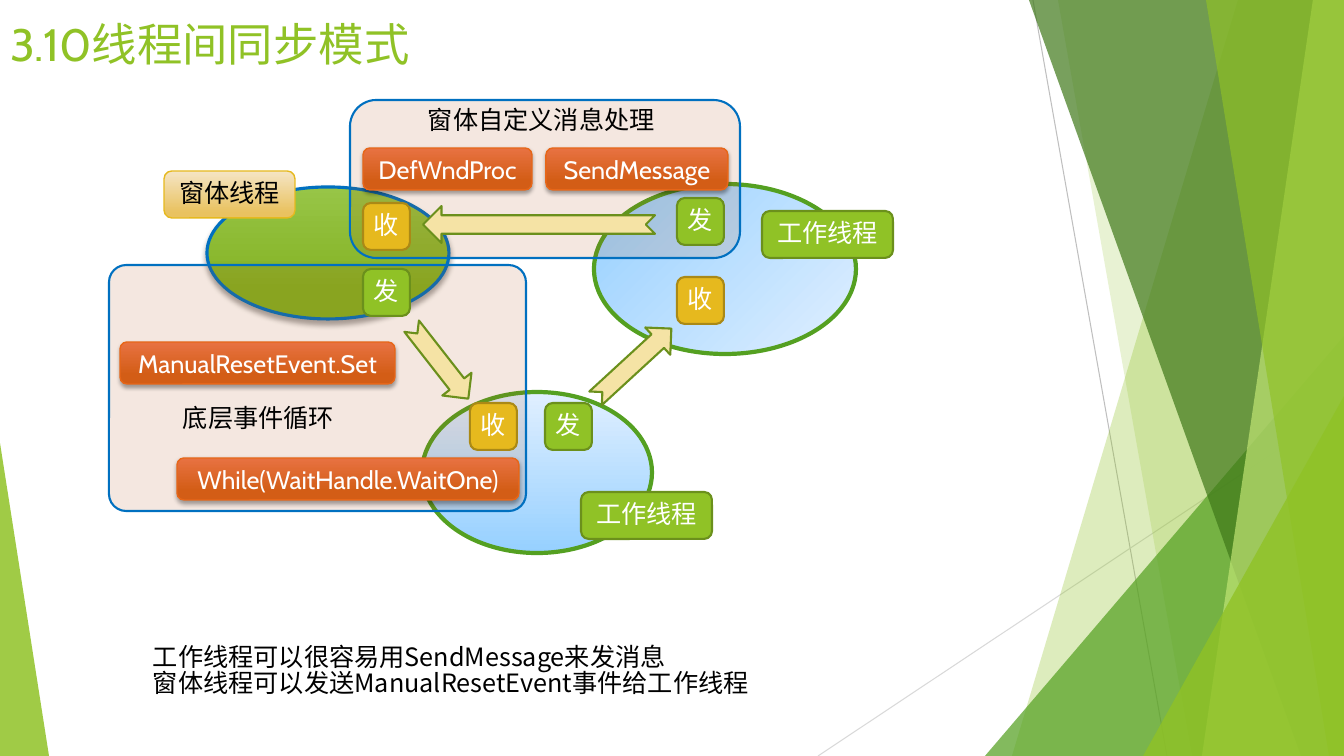
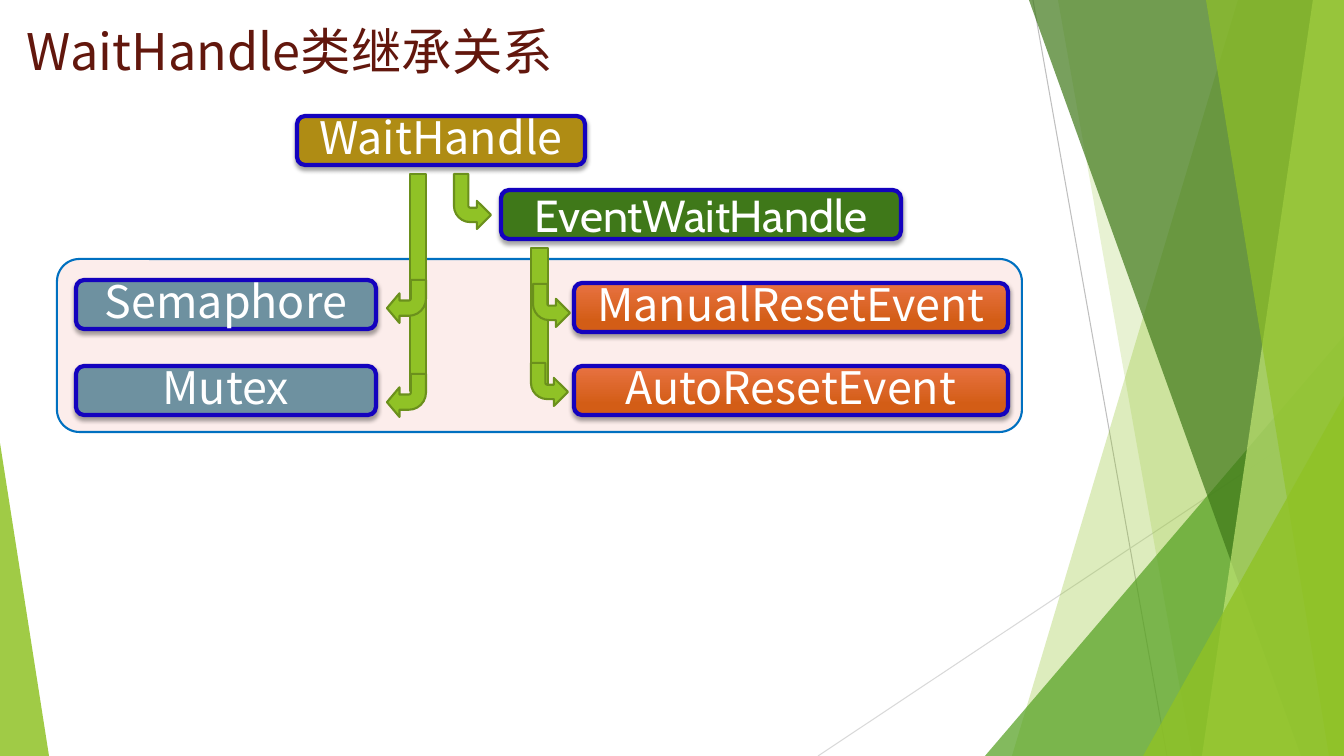
from pptx import Presentation
from pptx.dml.color import RGBColor
from pptx.enum.shapes import MSO_CONNECTOR, MSO_SHAPE
from pptx.enum.text import MSO_ANCHOR, MSO_AUTO_SIZE, PP_ALIGN
from pptx.oxml.ns import qn
from pptx.util import Pt
from lxml import etree

PX = 12192000 / 1344
WIDTH, HEIGHT = 1344, 756

ROUND, OVAL, RECT = MSO_SHAPE.ROUNDED_RECTANGLE, MSO_SHAPE.OVAL, MSO_SHAPE.RECTANGLE
TRIANGLE = MSO_SHAPE.ISOSCELES_TRIANGLE
NOTCHED, BENT = MSO_SHAPE.NOTCHED_RIGHT_ARROW, MSO_SHAPE.BENT_ARROW
STRAIGHT = MSO_CONNECTOR.STRAIGHT
TOP, MIDDLE = MSO_ANCHOR.TOP, MSO_ANCHOR.MIDDLE
LEFT, CENTER = PP_ALIGN.LEFT, PP_ALIGN.CENTER
NO_AUTOFIT = MSO_AUTO_SIZE.NONE


class Theme:
    white, black = "FFFFFF", "000000"
    green, green_edge = "90C226", "6B901C"
    leaf, forest, lime = "54A021", "3F7819", "C0E474"
    gold, gold_edge, dark_gold = "E6B91E", "AA8916", "AF8C14"
    cream, slate, maroon = "F5E3A5", "6E91A0", "62170D"
    blue, navy = "0070C0", "1402BE"
    brown_tint, red_tint = "AD4C12", "EB7766"
    orange_edge = "E76618"
    # Gradients: first colour, last colour, last position, direction in degrees
    orange = ("E87242", "D35D16", 0.78, 90)
    sand = ("F5E5C5", "E9C260", 0.88, 90)
    grass = ("97C547", "84B223", 0.78, 90)
    sky_up = ("96D0FF", "E0EFFF", 1, 270)
    sky_corner = ("96D0FF", "E0EFFF", 1, None)
    latin, cjk = "Cabin", "Noto Sans CJK SC"
    leading = {latin: 1.0, cjk: 0.88}
    title, subtitle, node, body = 36, 32.4, 32, 18


def draw(shapes, form, place, fill, line=None, weight=1.5, alpha=None, adjust=(),
         turn=0, flip="", shadow=None):
    """Add a preset at a px box, or, when form is None, a polygon through px points.

    A tuple as fill is a gradient; without a direction it spreads from the top left.
    """
    if form is None:
        outline = shapes.build_freeform(*place[0], scale=PX)
        outline.add_line_segments(place[1:], close=True)
        shape = outline.convert_to_shape()
    else:
        shape = shapes.add_shape(form, *[round(v * PX) for v in place])
    for i, value in enumerate(adjust):
        shape.adjustments[i] = value
    shape.rotation = turn
    properties = shape.element.spPr
    for axis in flip:
        properties.xfrm.set("flip" + axis, "1")

    if isinstance(fill, tuple):
        first, last, end, direction = fill
        shape.fill.gradient()
        start_stop, end_stop = shape.fill.gradient_stops
        start_stop.color.rgb = RGBColor.from_string(first)
        end_stop.color.rgb = RGBColor.from_string(last)
        end_stop.position = end
        if direction is None:
            gradient = properties.find(qn("a:gradFill"))
            gradient.remove(gradient.find(qn("a:lin")))
            spread = etree.SubElement(gradient, qn("a:path"), path="circle")
            etree.SubElement(spread, qn("a:fillToRect"), r="100000", b="100000")
        else:
            shape.fill.gradient_angle = 360 - direction
    else:
        shape.fill.solid()
        shape.fill.fore_color.rgb = RGBColor.from_string(fill)
        if alpha is not None:
            color = properties.find(qn("a:solidFill"))[0]
            etree.SubElement(color, qn("a:alpha"), val=str(alpha * 1000))

    if line:
        shape.line.color.rgb = RGBColor.from_string(line)
        shape.line.width = Pt(weight)
    else:
        shape.line.fill.background()

    shape.shadow.inherit = False
    if shadow:
        blur, distance = shadow
        cast = etree.SubElement(properties.find(qn("a:effectLst")), qn("a:outerShdw"),
                                blurRad=str(Pt(blur)), dist=str(Pt(distance)),
                                dir="5400000", rotWithShape="0")
        color = etree.SubElement(cast, qn("a:srgbClr"), val=Theme.black)
        etree.SubElement(color, qn("a:alpha"), val="35000")
    return shape


def write(shape, *lines, size=Theme.body, color=Theme.white, font=Theme.cjk,
          align=CENTER, anchor=MIDDLE, margins=(0, 0), wrap=True):
    frame = shape.text_frame
    frame.auto_size = NO_AUTOFIT
    frame.word_wrap = wrap
    frame.vertical_anchor = anchor
    frame.margin_left = frame.margin_right = round(margins[0] * PX)
    frame.margin_top = frame.margin_bottom = round(margins[1] * PX)
    for i, line in enumerate(lines):
        paragraph = frame.add_paragraph() if i else frame.paragraphs[0]
        paragraph.alignment = align
        paragraph.line_spacing = Theme.leading[font]
        run = paragraph.add_run()
        run.text = line
        run.font.size = Pt(size)
        run.font.color.rgb = RGBColor.from_string(color)
        run.font.name = font
        etree.SubElement(run.font._element, qn("a:ea"), typeface=font)


deck = Presentation()
deck.slide_width, deck.slide_height = round(WIDTH * PX), round(HEIGHT * PX)
title_only = deck.slide_layouts[5]
sync_slide = deck.slides.add_slide(title_only)
inherit_slide = deck.slides.add_slide(title_only)

# Shared backdrop: drawn once, then moved to the layout
shapes = sync_slide.shapes
backdrop = []
for ends, color in [((1033, 0, 1167, 756), "BFBFBF"), ((1344, 406, 818, 756), "D9D9D9")]:
    ray = shapes.add_connector(STRAIGHT, *[round(v * PX) for v in ends])
    ray.line.color.rgb = RGBColor.from_string(color)
    ray.line.width = Pt(0.75)
    etree.SubElement(ray.element.spPr, qn("a:effectLst"))
    backdrop.append(ray)

# Bands run to the right edge: x at the top, x at the bottom, colour, opacity
bands = [
    (1238, 1012, Theme.green, 30),
    (1058, 1192, Theme.green, 20),
    (1029, 1301, Theme.forest, 70),
    (1313, 1202, Theme.lime, 70),
    (1206, 1329, Theme.green, 65),
]
# Wedges stand on the bottom edge: left, top, width, apex, colour, opacity
wedges = [
    (985, 336, 359, 1, Theme.leaf, 72),
    (1143, 396, 201, 1, Theme.green, 80),
    (0, 443, 49, 0, Theme.green, 85),
]
band_shapes = [
    draw(shapes, None, [(top, 0), (WIDTH, 0), (WIDTH, HEIGHT), (bottom, HEIGHT)],
         color, alpha=alpha)
    for top, bottom, color, alpha in bands
]
wedge_shapes = [
    draw(shapes, TRIANGLE, (left, top, width, HEIGHT - top), color, alpha=alpha,
         adjust=[apex])
    for left, top, width, apex, color, alpha in wedges
]
backdrop += band_shapes[:2] + wedge_shapes[:1] + band_shapes[2:] + wedge_shapes[1:]
for part in backdrop:
    title_only.shapes.element.append(part.element)

# Titles
for slide, text, box, size, color, font in [
    (sync_slide, "3.10线程间同步模式", (0, 11, 423, 75), Theme.subtitle, Theme.green,
     Theme.latin),
    (inherit_slide, "WaitHandle类继承关系", (17, 23, 604, 71), Theme.title, Theme.maroon,
     Theme.cjk),
]:
    title = slide.shapes.title
    title.left, title.top, title.width, title.height = [round(v * PX) for v in box]
    write(title, text, size=size, color=color, font=font, align=LEFT, anchor=TOP,
          margins=(10, 5))

# Slide 1: threads and the panels that overlap them
draw(shapes, OVAL, (422, 392, 230, 161), Theme.sky_up, Theme.leaf, 3)
draw(shapes, OVAL, (207, 187, 242, 132), Theme.grass, Theme.blue, 2.25, shadow=(4, 3))
draw(shapes, ROUND, (109, 265, 417, 246), Theme.brown_tint, Theme.blue, alpha=13,
     adjust=[0.07])
draw(shapes, OVAL, (594, 184, 262, 170), Theme.sky_corner, Theme.leaf, 3)
draw(shapes, ROUND, (350, 100, 390, 158), Theme.brown_tint, Theme.blue, alpha=13)

for left, top, length, turn in [(423, 206, 232, 180), (582, 345, 103, 317.4),
                                (394, 344, 92, 52)]:
    draw(shapes, NOTCHED, (left, top, length, 37), Theme.cream, Theme.green_edge, turn=turn)

for call, left, top, width in [
    ("SendMessage", 546, 148, 182),
    ("DefWndProc", 363, 148, 169),
    ("ManualResetEvent.Set", 120, 342, 275),
    ("While(WaitHandle.WaitOne)", 177, 458, 342),
]:
    button = draw(shapes, ROUND, (left, top, width, 42), Theme.orange, Theme.orange_edge, 1,
                  shadow=(3, 2))
    write(button, call, font=Theme.latin)

for left, top in [(762, 211), (581, 492)]:
    worker = draw(shapes, ROUND, (left, top, 131, 47), Theme.green, Theme.green_edge)
    write(worker, "工作线程")
form_thread = draw(shapes, ROUND, (164, 171, 131, 47), Theme.sand, Theme.gold, 1)
write(form_thread, "窗体线程", color=Theme.black)

for role, fill, edge, places in [
    ("发", Theme.green, Theme.green_edge, [(677, 198), (545, 403), (363, 269)]),
    ("收", Theme.gold, Theme.gold_edge, [(363, 203), (677, 277), (470, 403)]),
]:
    for left, top in places:
        write(draw(shapes, ROUND, (left, top, 47, 47), fill, edge), role)

for box, lines in [
    ((418, 103, 249, 40), ["窗体自定义消息处理"]),
    ((173, 401, 174, 40), ["底层事件循环"]),
    ((143, 640, 634, 72), ["工作线程可以很容易用SendMessage来发消息",
                           "窗体线程可以发送ManualResetEvent事件给工作线程"]),
]:
    caption = shapes.add_textbox(*[round(v * PX) for v in box])
    write(caption, *lines, color=Theme.black, align=LEFT, anchor=TOP, margins=(10, 5),
          wrap=False)

# Slide 2: class tree
shapes = inherit_slide.shapes
draw(shapes, ROUND, (57, 259, 965, 173), Theme.red_tint, Theme.blue, alpha=13, adjust=[0.13])

for name, left, top, width, fill, font in [
    ("WaitHandle", 297, 116, 288, Theme.dark_gold, Theme.cjk),
    ("EventWaitHandle", 501, 190, 400, Theme.forest, Theme.latin),
    ("ManualResetEvent", 574, 283, 434, Theme.orange, Theme.cjk),
    ("Semaphore", 76, 280, 300, Theme.slate, Theme.cjk),
    ("Mutex", 76, 366, 300, Theme.slate, Theme.cjk),
    ("AutoResetEvent", 574, 366, 434, Theme.orange, Theme.cjk),
]:
    node = draw(shapes, ROUND, (left, top, width, 49), fill, Theme.navy, 3, shadow=(3, 2))
    write(node, name, size=Theme.node, font=font)

for trunk in [(410, 174, 16, 217), (531, 248, 17, 136)]:
    draw(shapes, RECT, trunk, Theme.green, Theme.green_edge)

for branch, flip, head in [
    ((387, 374, 39, 43), "HV", 0.32),
    ((454, 174, 37, 55), "V", 0.38),
    ((533, 284, 37, 43), "V", 0.38),
    ((531, 363, 37, 43), "V", 0.38),
    ((387, 280, 39, 43), "HV", 0.32),
]:
    draw(shapes, BENT, branch, Theme.green, Theme.green_edge, flip=flip,
         adjust=[0.39, 0.38, head, 0.44])

deck.save("out.pptx")
